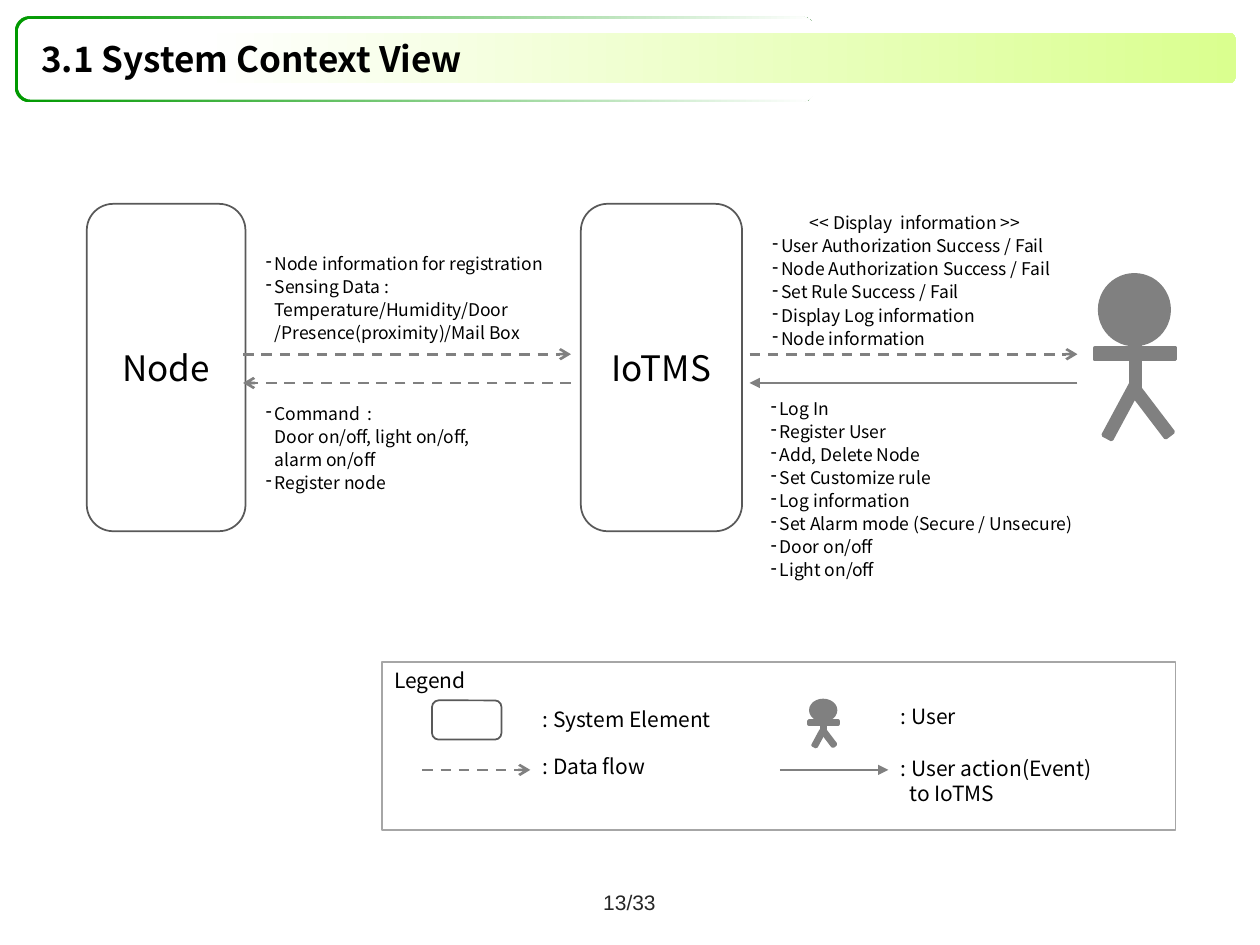
"""Build the system context view slide."""
from dataclasses import dataclass

import pptx
import pptx.dml.color
import pptx.enum.dml
import pptx.enum.shapes
import pptx.enum.text
import pptx.oxml.ns
import pptx.util
from lxml import etree

Cm, Pt = pptx.util.Cm, pptx.util.Pt
RGBColor = pptx.dml.color.RGBColor
SHAPE = pptx.enum.shapes.MSO_SHAPE
ALIGN = pptx.enum.text.PP_ALIGN
ANCHOR = pptx.enum.text.MSO_ANCHOR
qn = pptx.oxml.ns.qn

WHITE = RGBColor(0xFF, 0xFF, 0xFF)
BLACK = RGBColor(0x00, 0x00, 0x00)
GREEN = RGBColor(0x00, 0x99, 0x00)
LIME = RGBColor(0xDA, 0xFF, 0x8F)
GRAY = RGBColor(0x80, 0x80, 0x80)
DARK_GRAY = RGBColor(0x59, 0x59, 0x59)
LIGHT_GRAY = RGBColor(0xA6, 0xA6, 0xA6)
PAGE_GRAY = RGBColor(0x26, 0x26, 0x26)

FONT = "Noto Sans CJK KR"
HANG = Cm(0.18)


@dataclass(frozen=True)
class Box:
    x: float
    y: float
    w: float
    h: float

    def emu(self) -> list:
        return [Cm(v) for v in (self.x, self.y, self.w, self.h)]


@dataclass(frozen=True)
class Part:
    kind: int
    box: Box
    rotation: float = 0


@dataclass(frozen=True)
class Element:
    box: Box
    name: str = ""


@dataclass(frozen=True)
class Arrow:
    start: float
    end: float
    y: float
    event: bool = False


@dataclass(frozen=True)
class Line:
    text: str
    bullet: bool = True
    align: int = ALIGN.LEFT


@dataclass(frozen=True)
class Note:
    box: Box
    lines: list


@dataclass(frozen=True)
class Label:
    box: Box
    text: str
    size: int = 12
    font: str = FONT
    color: RGBColor = BLACK
    bold: bool = False
    align: int = ALIGN.LEFT
    anchor: int = ANCHOR.TOP


BANNER = [
    (Box(0.3, 0.33, 16.13, 1.73), 0.167, (GREEN, WHITE)),
    (Box(0.36, 0.38, 16.13, 1.63), 0.167, (WHITE, WHITE)),
    (Box(4.01, 0.66, 20.9, 1.02), 0.143, (WHITE, LIME)),
]
LEGEND = Box(7.7, 13.34, 16, 3.4)
ELEMENTS = [
    Element(Box(11.71, 4.11, 3.25, 6.6), "IoTMS"),
    Element(Box(1.75, 4.11, 3.2, 6.6), "Node"),
    Element(Box(8.71, 14.12, 1.4, 0.79)),
]
ARROWS = [
    Arrow(4.9, 11.51, 7.14),
    Arrow(11.51, 4.9, 7.72),
    Arrow(15.11, 21.72, 7.14),
    Arrow(21.72, 15.11, 7.72, event=True),
    Arrow(8.51, 10.69, 15.52),
    Arrow(15.72, 17.91, 15.52, event=True),
]
USERS = [Box(22.07, 5.54, 1.63, 3.35), Box(16.31, 14.12, 0.58, 0.94)]
USER_PARTS = [
    Part(SHAPE.OVAL, Box(0.06, 0, 0.86, 0.42)),
    Part(SHAPE.RECTANGLE, Box(0.44, 0.42, 0.12, 0.3)),
    Part(SHAPE.RECTANGLE, Box(0, 0.44, 1, 0.07)),
    Part(SHAPE.RECTANGLE, Box(0.27, 0.64, 0.12, 0.36), 28.3),
    Part(SHAPE.RECTANGLE, Box(0.64, 0.64, 0.12, 0.36), 322.7),
]
NOTES = [
    Note(Box(5.11, 7.95, 6.2, 2.13), [
        Line("Command  :"), Line("Door on/off, light on/off,", False),
        Line("alarm on/off", False), Line("Register node")]),
    Note(Box(5.11, 4.93, 7.19, 2.13), [
        Line("Node information for registration"),
        Line("Sensing Data :\vTemperature/Humidity/Door\v/Presence(proximity)/Mail Box")]),
    Note(Box(15.29, 7.85, 6.86, 4.01), [Line(t) for t in (
        "Log In", "Register User", "Add, Delete Node", "Set Customize rule", "Log information",
        "Set Alarm mode (Secure / Unsecure)", "Door on/off", "Light on/off")]),
    Note(Box(15.32, 4.11, 6.25, 3.07), [
        Line("<< Display  information >>", False, ALIGN.CENTER),
        *(Line(t) for t in (
            "User Authorization Success / Fail", "Node Authorization Success / Fail",
            "Set Rule Success / Fail", "Display Log information", "Node information"))]),
]
LABELS = [
    Label(Box(0.58, 0.64, 21.08, 1.09), "3.1 System Context View", 20, bold=True, anchor=ANCHOR.MIDDLE),
    Label(Box(7.7, 13.34, 3.99, 0.76), "Legend"),
    Label(Box(10.69, 14.12, 3.99, 0.76), ": System Element"),
    Label(Box(10.69, 15.06, 3.99, 0.76), ": Data flow"),
    Label(Box(17.91, 14.05, 3.99, 0.76), ": User"),
    Label(Box(17.91, 15.11, 5.21, 1.27), ": User action(Event)\vto IoTMS"),
    Label(Box(9.73, 17.68, 5.92, 1.02), "13/33", font="Arial", color=PAGE_GRAY,
          align=ALIGN.CENTER, anchor=ANCHOR.MIDDLE),
]


def style_text(p, size: int, font: str = FONT, color: RGBColor = BLACK, bold: bool = False) -> None:
    p.font.size, p.font.name, p.font.bold = Pt(size), font, bold
    p.font.color.rgb = color


def hang(p, first: int) -> None:
    pPr = p._p.get_or_add_pPr()
    pPr.set("marL", str(HANG))
    pPr.set("indent", str(first))


def add_shape(shapes, kind: int, box: Box, fill: RGBColor, line: RGBColor, width: float = 1):
    sp = shapes.add_shape(kind, *box.emu())
    sp.shadow.inherit = False
    sp.fill.solid()
    sp.fill.fore_color.rgb = fill
    sp.line.color.rgb = line
    sp.line.width = Pt(width)
    return sp


def add_banner(shapes, box: Box, radius: float, colors: tuple) -> None:
    sp = shapes.add_shape(SHAPE.ROUNDED_RECTANGLE, *box.emu())
    sp.shadow.inherit = False
    sp.adjustments[0] = radius
    sp.line.fill.background()
    sp.fill.gradient()
    sp.fill.gradient_angle = 0
    for stop, color in zip(sp.fill.gradient_stops, colors):
        stop.color.rgb = color


def add_element(shapes, element: Element) -> None:
    sp = add_shape(shapes, SHAPE.ROUNDED_RECTANGLE, element.box, WHITE, DARK_GRAY)
    if element.name:
        sp.text_frame.vertical_anchor = ANCHOR.MIDDLE
        p = sp.text_frame.paragraphs[0]
        p.text, p.alignment = element.name, ALIGN.CENTER
        style_text(p, 20)


def add_arrow(shapes, arrow: Arrow) -> None:
    y = Cm(arrow.y)
    cxn = shapes.add_connector(pptx.enum.shapes.MSO_CONNECTOR.STRAIGHT, Cm(arrow.start), y, Cm(arrow.end), y)
    cxn.line.color.rgb = GRAY
    cxn.line.width = Pt(1.5)
    if not arrow.event:
        cxn.line.dash_style = pptx.enum.dml.MSO_LINE.DASH
    ln = cxn.line._get_or_add_ln()
    etree.SubElement(ln, qn("a:tailEnd"), type="triangle" if arrow.event else "arrow")
    etree.SubElement(cxn._element.spPr, qn("a:effectLst"))


def add_user(shapes, frame: Box) -> None:
    group = shapes.add_group_shape()
    for part in USER_PARTS:
        b = part.box
        box = Box(frame.x + b.x * frame.w, frame.y + b.y * frame.h, b.w * frame.w, b.h * frame.h)
        add_shape(group.shapes, part.kind, box, GRAY, GRAY, 2).rotation = part.rotation


def add_text_frame(shapes, box: Box):
    tf = shapes.add_textbox(*box.emu()).text_frame
    tf.word_wrap = True
    return tf


def add_note(shapes, note: Note) -> None:
    tf = add_text_frame(shapes, note.box)
    for i, line in enumerate(note.lines):
        p = tf.add_paragraph() if i else tf.paragraphs[0]
        p.text, p.alignment, p.line_spacing = line.text, line.align, 1.1
        style_text(p, 10)
        if line.align == ALIGN.LEFT:
            hang(p, -HANG if line.bullet else 0)
        if line.bullet:
            bullet = etree.Element(qn("a:buChar"), char="-")
            p._p.pPr.find(qn("a:lnSpc")).addnext(bullet)


def add_label(shapes, label: Label) -> None:
    tf = add_text_frame(shapes, label.box)
    tf.vertical_anchor = label.anchor
    p = tf.paragraphs[0]
    p.text, p.alignment = label.text, label.align
    style_text(p, label.size, label.font, label.color, label.bold)
    if "\v" in label.text:
        hang(p, -HANG)


def main() -> None:
    prs = pptx.Presentation()
    prs.slide_width, prs.slide_height = Cm(25.4), Cm(19.05)
    s = prs.slides.add_slide(prs.slide_layouts[6])
    for banner in BANNER:
        add_banner(s.shapes, *banner)
    add_shape(s.shapes, SHAPE.RECTANGLE, LEGEND, WHITE, LIGHT_GRAY)
    for draw, items in ((add_element, ELEMENTS), (add_arrow, ARROWS), (add_user, USERS),
                        (add_note, NOTES), (add_label, LABELS)):
        for item in items:
            draw(s.shapes, item)
    prs.save("out.pptx")


if __name__ == "__main__":
    main()
